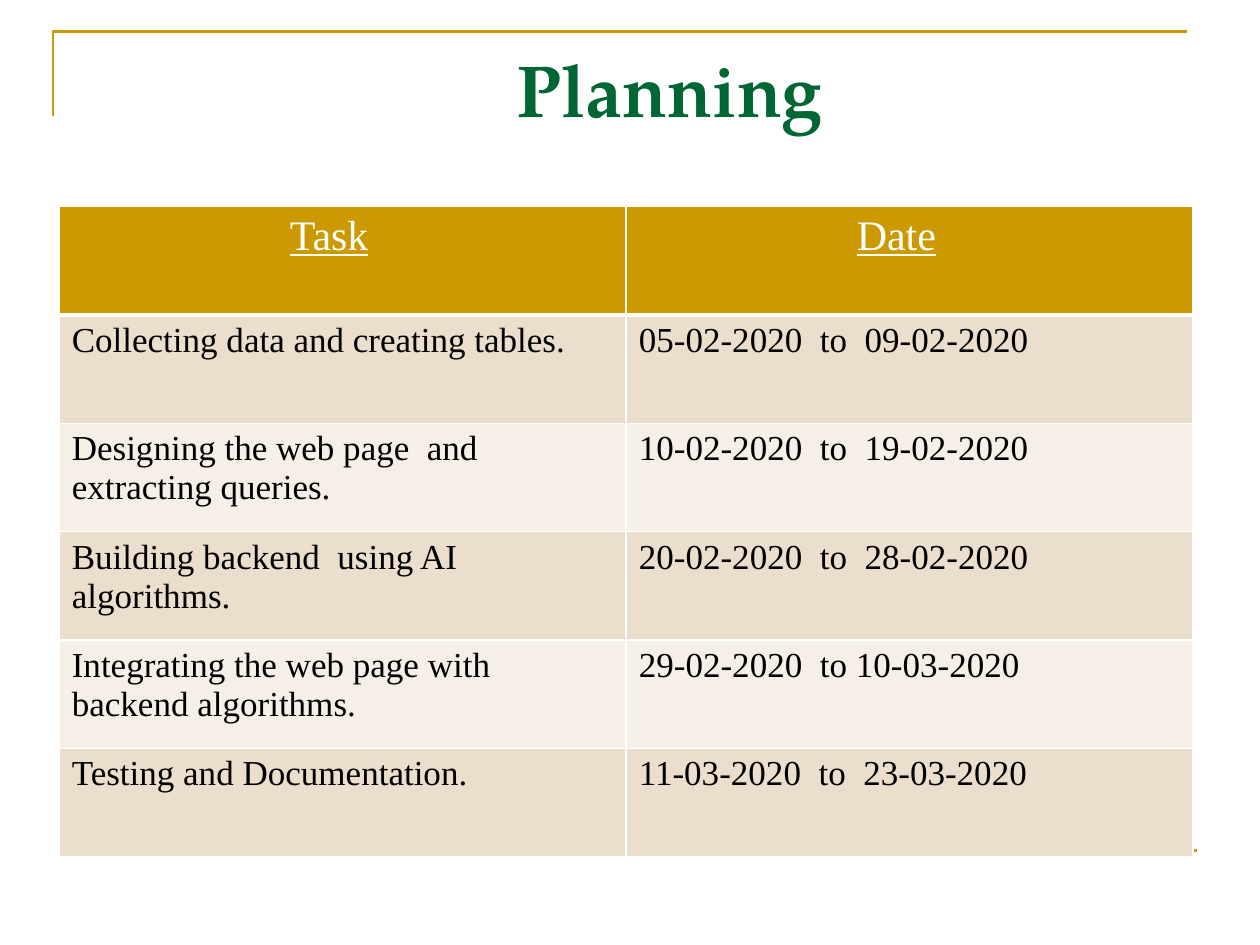
import dataclasses

import lxml.etree
import pptx
import pptx.dml.color
import pptx.enum.shapes
import pptx.enum.text
import pptx.oxml
import pptx.oxml.ns
import pptx.util

Inches = pptx.util.Inches
Pt = pptx.util.Pt

GOLD, GREEN, WHITE, BLACK = "CC9900", "006633", "FFFFFF", "000000"
BANDS = ("ECDECC", "F6EFE7")
TITLE_FONT, TABLE_FONT = "TeX Gyre Pagella", "Times New Roman"
COLUMN_WIDTH, ROW_HEIGHT = 4.5, 0.86


@dataclasses.dataclass
class Step:
    task: str
    date: str


@dataclasses.dataclass
class CellStyle:
    fill: str
    color: str
    size: float
    underline: bool = False
    margin_left: float = 0.1
    top_border: float = 1
    bottom_border: float = 1


STEPS = [
    Step("Collecting data and creating tables.", "05-02-2020  to  09-02-2020"),
    Step("Designing the web page  and extracting queries.", "10-02-2020  to  19-02-2020"),
    Step("Building backend  using AI algorithms.", "20-02-2020  to  28-02-2020"),
    Step("Integrating the web page with backend algorithms.", "29-02-2020  to 10-03-2020"),
    Step("Testing and Documentation.", "11-03-2020  to  23-03-2020"),
]


def rgb(color: str) -> pptx.dml.color.RGBColor:
    return pptx.dml.color.RGBColor.from_string(color)


def format_run(run, font: str, size: float, color: str) -> None:
    run.font.name = font
    run.font.size = Pt(size)
    run.font.color.rgb = rgb(color)


def format_rule(shape) -> None:
    shape.line.color.rgb = rgb(GOLD)
    shape.line.width = Pt(1.5)


def add_border(cell, side: str, width: float) -> None:
    qn = pptx.oxml.ns.qn
    properties = cell._tc.get_or_add_tcPr()
    line = lxml.etree.SubElement(properties, qn(f"a:ln{side}"), w=str(Pt(width)))
    fill = lxml.etree.SubElement(line, qn("a:solidFill"))
    lxml.etree.SubElement(fill, qn("a:srgbClr"), val=WHITE)


def fill_cell(cell, text: str, style: CellStyle) -> None:
    widths = {"L": 1, "R": 1, "T": style.top_border, "B": style.bottom_border}
    for side, width in widths.items():
        add_border(cell, side, width)
    cell.fill.solid()
    cell.fill.fore_color.rgb = rgb(style.fill)
    cell.margin_left = Inches(style.margin_left)
    cell.text_frame.text = text
    run = cell.text_frame.paragraphs[0].runs[0]
    format_run(run, TABLE_FONT, style.size, style.color)
    run.font.bold = False
    run.font.underline = style.underline


presentation = pptx.Presentation()
presentation.slide_width, presentation.slide_height = Inches(10), Inches(7.5)
slide = presentation.slides.add_slide(presentation.slide_layouts[5])

# Corner rule at the top left
builder = slide.shapes.build_freeform(Inches(0.42), Inches(0.92))
builder.add_line_segments(
    [(Inches(0.42), Inches(0.25)), (Inches(9.42), Inches(0.25))], close=False
)
corner = builder.convert_to_shape()
corner.shadow.inherit = False
corner.fill.background()
format_rule(corner)

# Rule at the foot
foot_rule = slide.shapes.add_connector(
    pptx.enum.shapes.MSO_CONNECTOR.STRAIGHT,
    Inches(0.5), Inches(6.75), Inches(9.5), Inches(6.75),
)
format_rule(foot_rule)
lxml.etree.SubElement(foot_rule._element.spPr, pptx.oxml.ns.qn("a:effectLst"))

# Title
title = slide.shapes.title
title.left, title.top = Inches(0.5), Inches(0.3)
title.width, title.height = Inches(9), Inches(1.25)
frame = title.text_frame
frame.text = "Planning"
frame.auto_size = pptx.enum.text.MSO_AUTO_SIZE.NONE
frame.vertical_anchor = pptx.enum.text.MSO_ANCHOR.TOP
frame.margin_left = Inches(3.6)
frame.paragraphs[0].alignment = pptx.enum.text.PP_ALIGN.LEFT
title_run = frame.paragraphs[0].runs[0]
format_run(title_run, TITLE_FONT, 42, GREEN)
title_run.font.bold = True

# Schedule table
row_count = len(STEPS) + 1
table = slide.shapes.add_table(
    row_count, 2, Inches(0.47), Inches(1.64),
    Inches(2 * COLUMN_WIDTH), Inches(row_count * ROW_HEIGHT),
).table
for column in table.columns:
    column.width = Inches(COLUMN_WIDTH)
for row in table.rows:
    row.height = Inches(ROW_HEIGHT)

for column_index, heading in enumerate(("Task", "Date")):
    header = CellStyle(GOLD, WHITE, 24, True, margin_left=1.83, bottom_border=3)
    fill_cell(table.cell(0, column_index), heading, header)

for row_index, step in enumerate(STEPS, start=1):
    body = CellStyle(BANDS[(row_index - 1) % 2], BLACK, 20,
                     top_border=3 if row_index == 1 else 1)
    fill_cell(table.cell(row_index, 0), step.task, body)
    fill_cell(table.cell(row_index, 1), step.date, body)

presentation.save("out.pptx")
